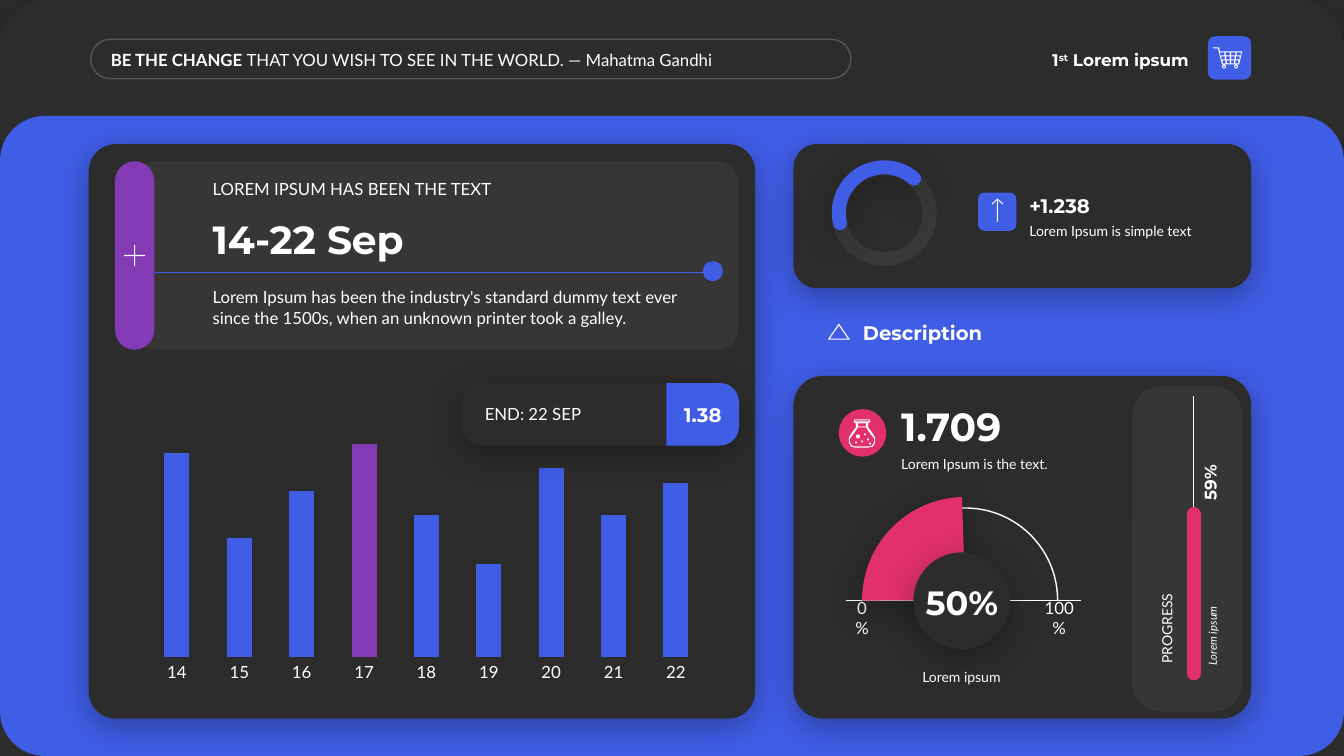
from math import cos, radians, sin

from lxml.etree import SubElement
from pptx import Presentation
from pptx.chart.data import CategoryChartData
from pptx.dml.color import RGBColor
from pptx.enum.chart import XL_CHART_TYPE as ChartKind, XL_TICK_MARK as Tick
from pptx.enum.shapes import MSO_CONNECTOR as Link, MSO_SHAPE as Kind
from pptx.enum.text import MSO_ANCHOR as Anchor, MSO_AUTO_SIZE as AutoSize, PP_ALIGN as Align
from pptx.oxml.ns import qn
from pptx.util import Inches, Pt

DARK, BLUE, PURPLE, PINK, WHITE = "2C2C2C", "405DE6", "833AB4", "E1306C", "FFFFFF"
BODY, HEAD = "Lato", "Montserrat"
PAD = (0.1, 0.05, 0.1, 0.05)


def rgb(colour):
    return RGBColor.from_string(colour)


def arc_points(x, y, radius, start=0, end=360, steps=12):
    angles = [radians(start + (end - start) * i / steps) for i in range(steps + 1)]
    return [(x + radius * cos(a), y + radius * sin(a)) for a in angles]


def mirrored(middle, half):
    return half + [(2 * middle - x, y) for x, y in reversed(half)]


class SlideBuilder:
    def __init__(self, page):
        self.page = page
        self.shapes = page.shapes

    def paint(self, fill, colour, alpha=None):
        if colour is None:
            fill.background()
            return
        fill.solid()
        fill.fore_color.rgb = rgb(colour)
        if alpha:
            node = fill._xPr.find(qn("a:solidFill"))[0]
            SubElement(node, qn("a:alpha")).set("val", str(alpha * 1000))

    def stroke(self, line, colour, width, alpha=None, rounded=False):
        self.paint(line.fill, colour, alpha)
        if colour:
            line.width = Pt(width)
        if rounded:
            line._get_or_add_ln().set("cap", "rnd")

    def shape(self, kind, at, fill=None, alpha=None, adjust=(), line=None, width=1,
              line_alpha=None, rounded=False, shadow=False):
        item = self.shapes.add_shape(kind, *map(Inches, at))
        for index, value in enumerate(adjust):
            item.adjustments[index] = value
        self.paint(item.fill, fill, alpha)
        self.stroke(item.line, line, width, line_alpha, rounded)
        item.shadow.inherit = False
        if shadow:
            effects = item._element.spPr.find(qn("a:effectLst"))
            outer = SubElement(effects, qn("a:outerShdw"), blurRad=str(Pt(23)), dist=str(Pt(6)),
                               dir="5400000", algn="t", rotWithShape="0")
            tone = SubElement(outer, qn("a:srgbClr"), val="000000")
            SubElement(tone, qn("a:alpha"), val="30000")

    def panel(self, at, adjust=0.167, fill=DARK, **style):
        self.shape(Kind.ROUNDED_RECTANGLE, at, fill, adjust=(adjust,), **style)

    def outline(self, contours, fill=WHITE):
        pen = None
        for contour in contours:
            points = [(Inches(x), Inches(y)) for x, y in contour]
            if pen is None:
                pen = self.shapes.build_freeform(*points[0])
            else:
                pen.move_to(*points[0])
            pen.add_line_segments(points[1:], close=True)
        item = pen.convert_to_shape()
        self.paint(item.fill, fill)
        item.line.fill.background()
        item.shadow.inherit = False

    def line(self, start, end, colour=WHITE, width=0.5, rounded=False):
        item = self.shapes.add_connector(Link.STRAIGHT, *map(Inches, start + end))
        self.stroke(item.line, colour, width, rounded=rounded)
        SubElement(item._element.spPr, qn("a:effectLst"))

    def text(self, at, runs, size=12, font=BODY, bold=False, italic=False, align=Align.LEFT,
             anchor=Anchor.TOP, pad=PAD, after=0, turn=0):
        box = self.shapes.add_textbox(*map(Inches, at))
        box.rotation = turn
        frame = box.text_frame
        frame.word_wrap = True
        frame.auto_size = AutoSize.SHAPE_TO_FIT_TEXT
        frame.vertical_anchor = anchor
        (frame.margin_left, frame.margin_top,
         frame.margin_right, frame.margin_bottom) = map(Inches, pad)
        para = frame.paragraphs[0]
        para.alignment = align
        para.space_after = Pt(after)
        for words, changes in [(runs, {})] if isinstance(runs, str) else runs:
            span = para.add_run()
            span.text = words
            span.font.name, span.font.size = font, Pt(size)
            span.font.bold, span.font.italic = changes.get("bold", bold), italic
            span.font.color.rgb = rgb(WHITE)
            if "raised" in changes:
                span._r.get_or_add_rPr().set("baseline", "30000")

    def title(self, at, words, size, **style):
        self.text(at, words, size, HEAD, bold=True, **style)

    def columns(self, at, days, values, highlight):
        data = CategoryChartData()
        data.categories = days
        data.add_series("Series 1", values)
        chart = self.shapes.add_chart(ChartKind.COLUMN_CLUSTERED, *map(Inches, at), data).chart
        chart.has_legend = chart.has_title = False
        chart.font.name, chart.font.size = BODY, Pt(12)
        chart.font.color.rgb = rgb(WHITE)
        plot = chart.plots[0]
        plot.gap_width, plot.vary_by_categories = 150, False
        self.paint(plot.series[0].format.fill, BLUE)
        self.paint(plot.series[0].points[highlight].format.fill, PURPLE)
        scale, axis = chart.value_axis, chart.category_axis
        scale.minimum_scale, scale.maximum_scale = 0, 100
        scale.has_major_gridlines = scale.visible = False
        axis.major_tick_mark = axis.minor_tick_mark = Tick.NONE
        axis.format.line.fill.background()
        area = chart._chartSpace.chart.plotArea
        layout = area.find(qn("c:layout"))
        if layout is None:
            layout = SubElement(area, qn("c:layout"))
            area.insert(0, layout)
        manual = SubElement(layout, qn("c:manualLayout"))
        for tag, value in (("layoutTarget", "inner"), ("xMode", "edge"), ("yMode", "edge"),
                           ("x", "0.02"), ("y", "0.11"), ("w", "0.96"), ("h", "0.78")):
            SubElement(manual, qn("c:" + tag), val=value)


def draw_header(slide):
    slide.panel((0, 0, 13.33, 1.74), 0.25, shadow=True)
    slide.panel((0, 1.15, 13.33, 6.35), 0.07, BLUE)
    slide.panel((0.9, 0.39, 7.54, 0.39), 0.5, None, line=WHITE, line_alpha=20)
    slide.text((1.06, 0.44, 7.26, 0.3), [
        ("BE THE CHANGE ", {"bold": True}),
        ("THAT YOU WISH TO SEE IN THE WORLD. ― Mahatma Gandhi", {}),
    ], anchor=Anchor.MIDDLE, pad=(0.04, 0.05, 0.04, 0.05))
    slide.title((9.89, 0.44, 2, 0.3), [("1", {}), ("st", {"raised": True}), (" Lorem ipsum", {})],
                12, align=Align.RIGHT, anchor=Anchor.MIDDLE)
    slide.panel((11.98, 0.36, 0.43, 0.43), fill=BLUE)
    cart = [[(12.03, 0.47), (12.09, 0.47), (12.1, 0.51), (12.32, 0.51),
             (12.29, 0.64), (12.12, 0.64), (12.08, 0.48), (12.03, 0.48)]]
    for row in range(3):
        pitch, top = 0.054 - 0.006 * row, 0.52 + 0.04 * row
        for column in range(4):
            left = 12.21 + (column - 2) * pitch
            right = left + pitch - 0.012
            cart.append([(left, top), (right, top), (right, top + 0.03), (left, top + 0.03)])
    cart += [arc_points(x, 0.66, radius) for x in (12.14, 12.26) for radius in (0.02, 0.01)]
    slide.outline(cart)


def draw_schedule(slide):
    slide.panel((0.88, 1.43, 6.61, 5.7), 0.047, shadow=True)
    slide.panel((1.34, 1.6, 5.98, 1.87), 0.109, WHITE, alpha=5)
    slide.text((2.01, 2.8, 5.1, 0.5), "Lorem Ipsum has been the industry's standard dummy text ever "
               "since the 1500s, when an unknown printer took a galley.", after=6)
    slide.title((2.01, 2.08, 5.1, 0.57), "14-22 Sep", 28, anchor=Anchor.BOTTOM)
    slide.text((2.01, 1.72, 5.1, 0.3), "LOREM IPSUM HAS BEEN THE TEXT", anchor=Anchor.BOTTOM)
    slide.line((1.44, 2.7), (6.97, 2.7), BLUE)
    slide.shape(Kind.OVAL, (6.97, 2.59, 0.2, 0.2), BLUE)
    slide.panel((1.14, 1.6, 0.39, 1.87), 0.5, PURPLE)
    arm, half, x, y = 0.105, 0.005, 1.335, 2.535
    corners = [(half, arm), (half, half), (arm, half), (arm, -half), (half, -half), (half, -arm)]
    slide.outline([mirrored(x, [(x + dx, y + dy) for dx, dy in corners])])
    slide.columns((1.33, 4.11, 5.8, 2.71), [str(day) for day in range(14, 23)],
                  (96, 56, 78, 100, 67, 44, 89, 67, 82), 3)
    slide.panel((4.58, 3.8, 2.74, 0.62), 0.311, shadow=True)
    slide.text((4.71, 3.96, 1.96, 0.3), "END: 22 SEP", anchor=Anchor.MIDDLE)
    slide.outline([[(6.61, 3.8)] + arc_points(7.14, 3.99, 0.19, -90, 0)
                   + arc_points(7.14, 4.23, 0.19, 0, 90) + [(6.61, 4.42)]], BLUE)
    slide.title((6.61, 3.94, 0.72, 0.34), "1.38", 14, align=Align.CENTER,
                anchor=Anchor.MIDDLE, pad=(0.04, 0.05, 0.04, 0.05))


def draw_growth(slide):
    slide.panel((7.87, 1.43, 4.54, 1.43), 0.163, shadow=True)
    slide.shape(Kind.OVAL, (8.32, 1.67, 0.9, 0.9), line=WHITE, width=10, line_alpha=5)
    slide.shape(Kind.ARC, (8.32, 1.66, 0.9, 0.9), adjust=(100.01, 186.69), line=BLUE,
                width=10, rounded=True, shadow=True)
    slide.panel((9.7, 1.91, 0.38, 0.38), fill=BLUE)
    slide.outline([mirrored(9.893, [(9.893, 1.97), (9.95, 2.02), (9.945, 2.03),
                                    (9.898, 1.985), (9.898, 2.2)])])
    slide.text((10.21, 2.16, 1.97, 0.27), "Lorem Ipsum is simple text", 10, pad=(0, 0.05, 0, 0.05))
    slide.title((10.21, 1.87, 1.97, 0.34), "+1.238", 14, anchor=Anchor.BOTTOM,
                pad=(0, 0.05, 0, 0.05))
    slide.title((8.46, 3.13, 3.3, 0.34), "Description", 14, anchor=Anchor.MIDDLE)
    slide.outline([[(8.32, 3.21), (8.43, 3.37), (8.21, 3.37)],
                   [(8.32, 3.23), (8.41, 3.36), (8.23, 3.36)]])


def draw_progress(slide):
    slide.panel((7.87, 3.73, 4.54, 3.4), 0.086, shadow=True)
    slide.panel((11.23, 3.83, 1.09, 3.23), 0.261, WHITE, alpha=5)
    slide.text((8.84, 4.47, 1.79, 0.27), "Lorem Ipsum is the text.", 10)
    slide.title((8.84, 3.94, 1.79, 0.57), "1.709", 28, anchor=Anchor.BOTTOM)
    slide.shape(Kind.OVAL, (8.32, 4.06, 0.47, 0.47), PINK)
    glass = [(8.62, 4.16), (8.63, 4.17), (8.63, 4.19), (8.61, 4.2), (8.61, 4.24), (8.65, 4.29),
             (8.68, 4.34), (8.68, 4.39), (8.66, 4.43), (8.62, 4.44)]
    liquid = [(8.59, 4.24), (8.63, 4.3), (8.67, 4.35), (8.67, 4.39), (8.65, 4.42), (8.62, 4.43)]
    halves = [glass, [(8.62, 4.17), (8.62, 4.18)], [(8.59, 4.2), (8.59, 4.23)], liquid]
    bubbles = [(8.51, 4.33, 0.02), (8.58, 4.31, 0.01), (8.55, 4.38, 0.01),
               (8.61, 4.36, 0.01), (8.63, 4.4, 0.01), (8.49, 4.39, 0.01)]
    slide.outline([mirrored(8.55, half) for half in halves] + [arc_points(*b) for b in bubbles])
    slide.shape(Kind.ARC, (8.66, 5.04, 1.83, 1.83), adjust=(107.89, 0), line=WHITE)
    slide.line((8.39, 5.96), (10.72, 5.96), width=1)
    for left, width, label in ((8.45, 0.2, "0%"), (10.32, 0.37, "100%")):
        slide.text((left, 6.04, width, 0.17), label, align=Align.CENTER,
                   anchor=Anchor.MIDDLE, pad=(0, 0, 0, 0))
    slide.shape(Kind.ARC, (8.55, 4.93, 2.05, 2.05), PINK, adjust=(107.89, 160.84), shadow=True)
    slide.text((8.33, 6.58, 2.41, 0.27), "Lorem ipsum", 10, align=Align.CENTER, after=6)
    slide.shape(Kind.OVAL, (9.06, 5.48, 0.96, 0.96), DARK, shadow=True)
    slide.title((9, 5.72, 1.08, 0.5), "50%", 24, align=Align.CENTER, anchor=Anchor.BOTTOM)
    slide.line((11.84, 6.68), (11.84, 3.93))
    slide.line((11.84, 6.68), (11.84, 5.1), PINK, 10, rounded=True)
    slide.text((11.07, 5.6, 1.92, 0.24), "Lorem ipsum", 8, italic=True, turn=270,
               pad=(0.08, 0.05, 0.1, 0.05))
    slide.title((11.51, 4.42, 0.98, 0.3), "59%", 12, anchor=Anchor.BOTTOM, turn=270,
                pad=(0.1, 0.05, 0.04, 0.05))
    slide.text((10.61, 5.59, 1.92, 0.27), "PROGRESS", 10, anchor=Anchor.BOTTOM, turn=270)


def main():
    deck = Presentation()
    deck.slide_width, deck.slide_height = Inches(13.33), Inches(7.5)
    page = deck.slides.add_slide(deck.slide_layouts[6])
    slide = SlideBuilder(page)
    slide.paint(page.background.fill, DARK)
    for draw in (draw_header, draw_schedule, draw_growth, draw_progress):
        draw(slide)
    deck.save("out.pptx")


if __name__ == "__main__":
    main()
